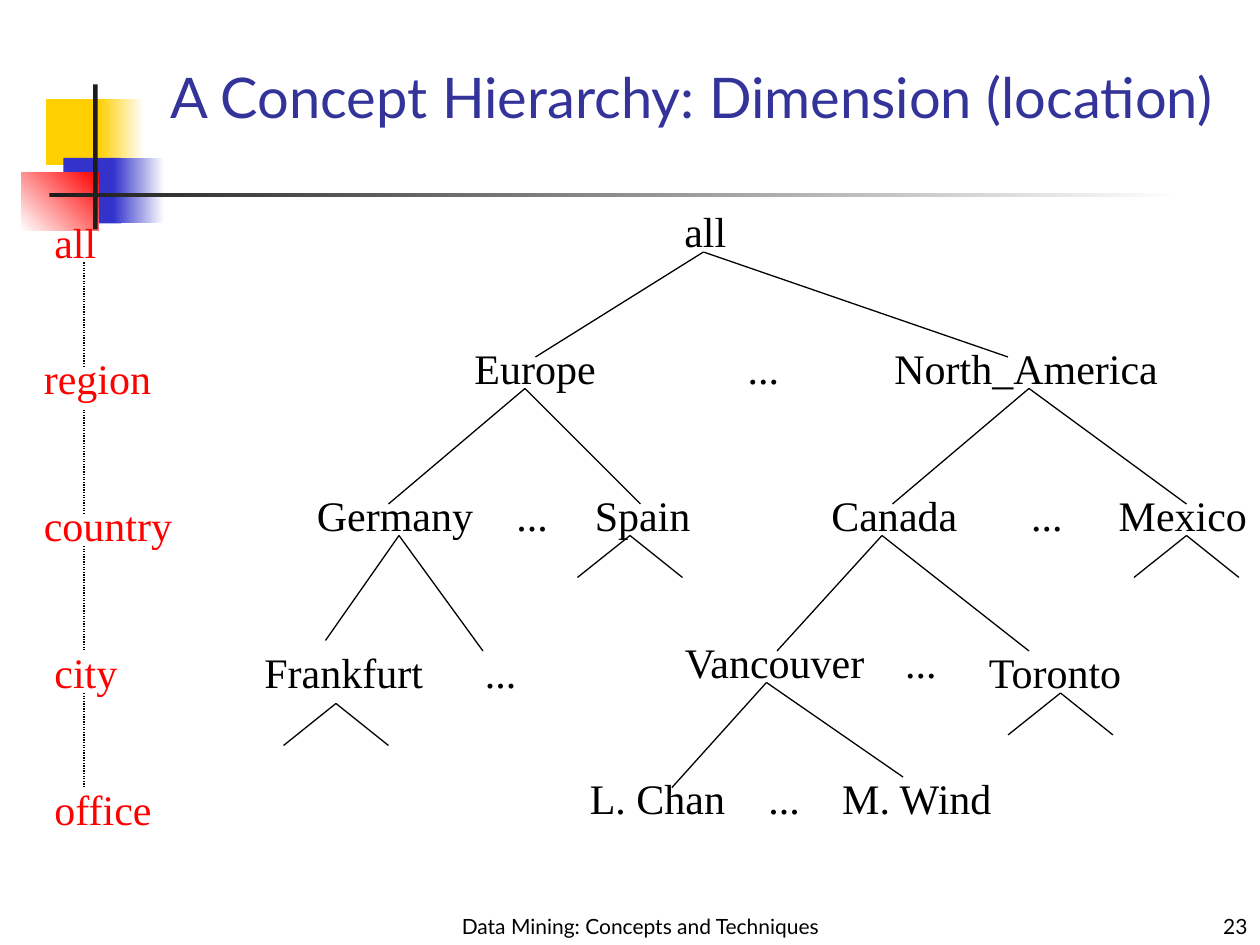
from lxml.etree import SubElement
from pptx import Presentation
from pptx.dml.color import RGBColor
from pptx.enum.dml import MSO_LINE
from pptx.enum.shapes import MSO_CONNECTOR, MSO_SHAPE
from pptx.enum.text import MSO_ANCHOR, MSO_AUTO_SIZE, PP_ALIGN
from pptx.oxml.ns import qn
from pptx.util import Pt

HUES = {
    "ink": "000000", "dark": "1C1C1C", "white": "FFFFFF", "gold": "FFCF01",
    "blue": "3333CC", "red": "FF0000", "title": "333399",
}
SANS, SERIF = "Lato", "Times New Roman"
ROW = 36


def hue(name):
    return RGBColor.from_string(HUES[name])


def text(slide, box, words, size=24, font=SERIF, color="ink",
         align=PP_ALIGN.LEFT, anchor=MSO_ANCHOR.TOP, wrap=False):
    frame = slide.shapes.add_textbox(*map(Pt, box)).text_frame
    frame.word_wrap = wrap
    frame.auto_size = MSO_AUTO_SIZE.NONE if wrap else MSO_AUTO_SIZE.SHAPE_TO_FIT_TEXT
    frame.vertical_anchor = anchor
    para = frame.paragraphs[0]
    para.alignment = align
    run = para.add_run()
    run.text = words
    run.font.size = Pt(size)
    run.font.name = font
    run.font.color.rgb = hue(color)


def line(slide, start, end, dash=None):
    link = slide.shapes.add_connector(MSO_CONNECTOR.STRAIGHT, *map(Pt, start + end))
    link.line.color.rgb = hue("ink")
    link.line.width = Pt(0.75)
    if dash:
        link.line.dash_style = dash
    SubElement(link._element.spPr, qn("a:effectLst"))


def block(slide, box, color, fade=None, angle=0):
    shape = slide.shapes.add_shape(MSO_SHAPE.RECTANGLE, *map(Pt, box))
    shape.shadow.inherit = False
    shape.line.fill.background()
    if fade is None:
        shape.fill.solid()
        shape.fill.fore_color.rgb = hue(color)
        return
    shape.fill.gradient()
    shape.fill.gradient_angle = angle
    for stop, name in zip(shape.fill.gradient_stops, (color, fade)):
        stop.color.rgb = hue(name)


def emblem(slide, left, top):
    parts = [
        (14, 8.5, 34.5, 37.5, "gold"),
        (44, 8.5, 26, 37.5, "gold", "white"),
        (24, 42, 33, 37.5, "blue"),
        (52.5, 42, 29, 37.5, "blue", "white"),
        (0, 50.5, 44, 33, "white", "red", 45),
        (41, 0, 2.5, 83, "dark"),
        (16, 62, 648, 2.5, "dark", "white"),
    ]
    for x, y, wide, high, *paint in parts:
        block(slide, (left + x, top + y, wide, high), *paint)


def header(slide, box):
    text(slide, box, "A Concept Hierarchy: Dimension (location)", size=32,
         font=SANS, color="title", anchor=MSO_ANCHOR.BOTTOM, wrap=True)


def footer(slide, left, top, wide, high):
    style = dict(size=12, font=SANS, anchor=MSO_ANCHOR.BOTTOM, wrap=True)
    text(slide, (left, top, 228, high), "Data Mining: Concepts and Techniques",
         align=PP_ALIGN.CENTER, **style)
    text(slide, (left + wide - 150, top, 150, high), "23",
         align=PP_ALIGN.RIGHT, **style)


def tree(slide, left, top):
    nodes = [
        ("all", 240, 0, 39),
        ("Europe", 120, 78, 85), ("...", 276.2, 78, 33),
        ("North_America", 360, 78, 166),
        ("Germany", 30, 162, 105), ("...", 144, 162, 33),
        ("Spain", 188.8, 162, 70), ("Canada", 324, 162, 87),
        ("...", 438.2, 162, 33), ("Mexico", 488.2, 162, 89),
        ("Frankfurt", 0, 252, 106), ("...", 126, 252, 33),
        ("Vancouver", 240.2, 246, 121), ("...", 366.2, 246, 33),
        ("Toronto", 414, 252, 92),
        ("L. Chan", 186, 324, 92), ("...", 288, 324, 33),
        ("M. Wind", 330.2, 324, 102),
    ]
    forks = [
        ((258, 30), (162, 90), (432, 90)),
        ((156, 108), (78, 174), (222, 174)),
        ((444, 108), (366, 174), (534, 174)),
        ((84, 192), (42, 252), (132, 258)),
        ((360, 192), (300, 258), (444, 258)),
        ((294, 276), (240, 336), (372, 330)),
    ]
    stubs = [(216, 192), (534, 192), (48, 288), (462, 282)]
    forks += [((x, y), (x - 30, y + 24), (x + 30, y + 24)) for x, y in stubs]
    for words, x, y, wide in nodes:
        text(slide, (left + x, top + y, wide, ROW), words)
    for (x, y), *ends in forks:
        for far, down in ends:
            line(slide, (left + x, top + y), (left + far, top + down))


def levels(slide, left, top):
    names = [
        ("all", 6, 0, 39), ("region", 0, 78, 77), ("country", 0, 162, 89),
        ("city", 6, 246, 51), ("office", 6, 324, 71),
    ]
    for words, x, y, wide in names:
        text(slide, (left + x, top + y, wide, ROW), words, color="red")
    for start, end in [(30, 90), (114, 174), (192, 252), (276, 330)]:
        line(slide, (left + 30, top + start), (left + 30, top + end),
             MSO_LINE.ROUND_DOT)


def main():
    deck = Presentation()
    deck.slide_width, deck.slide_height = Pt(720), Pt(540)
    slide = deck.slides.add_slide(deck.slide_layouts[6])
    emblem(slide, 12.3, 48.2)
    footer(slide, 252, 498, 468, 42)
    header(slide, (90.3, 29.7, 629.7, 48))
    tree(slide, 144, 114)
    levels(slide, 18, 120)
    deck.save("out.pptx")


if __name__ == "__main__":
    main()
